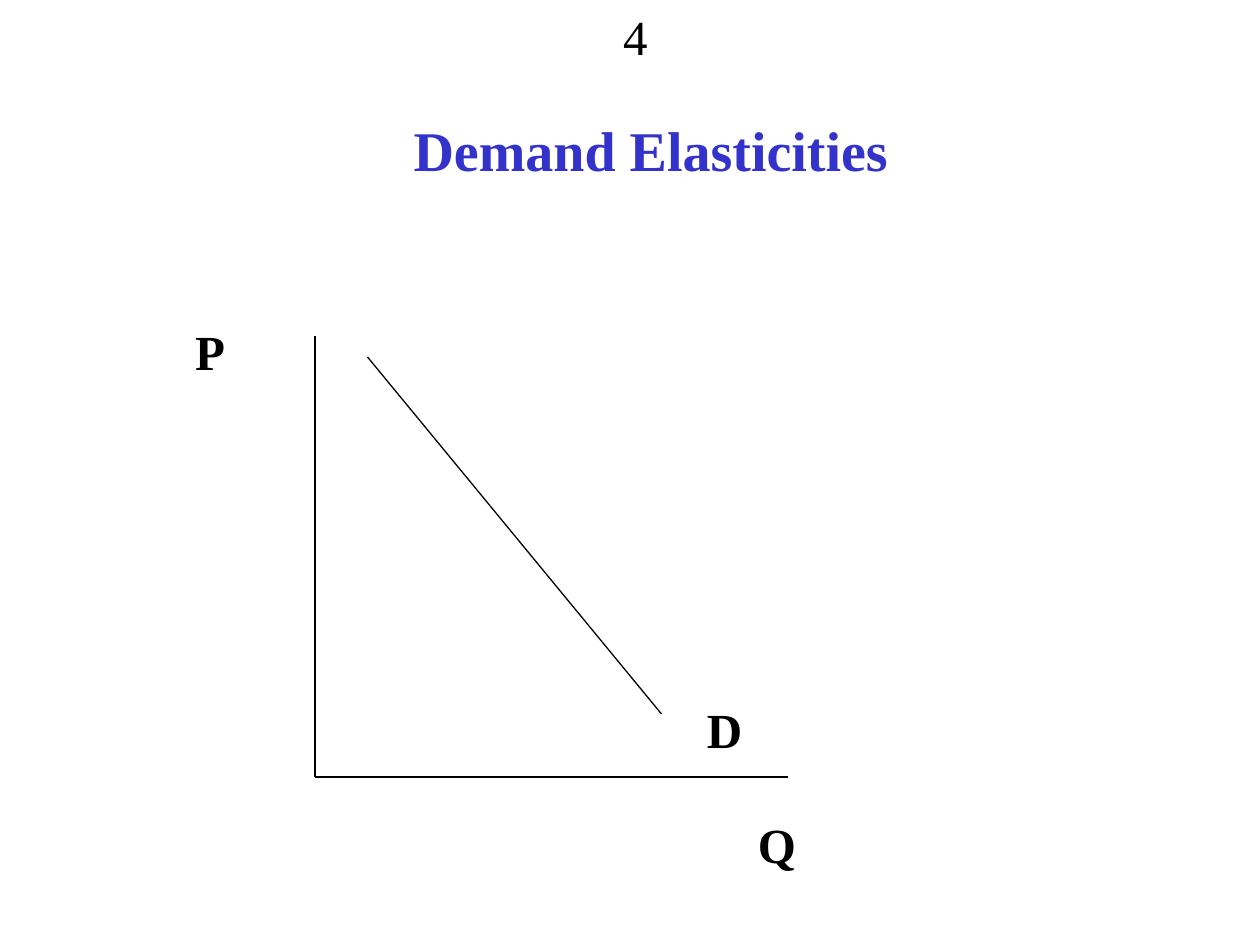
from collections import namedtuple
from dataclasses import dataclass

from lxml import etree
from pptx import Presentation
from pptx import util as u
from pptx.dml.color import RGBColor
from pptx.enum import shapes, text
from pptx.oxml.ns import qn

Box = namedtuple("Box", "col row cols rows")


@dataclass(frozen=True)
class Theme:
    """Colours, type sizes and the grid unit of the slide."""
    font: str = "Times New Roman"
    ink: RGBColor = RGBColor(0, 0, 0)
    accent: RGBColor = RGBColor(0x33, 0x33, 0xCC)
    title_size: int = 32
    label_size: int = 28
    line_width: float = 0.75
    unit: float = 1 / 12


THEME = Theme()


def grid(count):
    """Turn a number of grid units into a length."""
    return u.Inches(count * THEME.unit)


def write(slide, box, words, size=THEME.label_size, color=THEME.ink, bold=True, top=0.05):
    """Set one centred line of words in a grid box."""
    frame = slide.shapes.add_textbox(*map(grid, box)).text_frame
    frame.word_wrap = True
    frame.vertical_anchor = text.MSO_ANCHOR.TOP
    frame.margin_top = u.Inches(top)
    paragraph = frame.paragraphs[0]
    paragraph.alignment = text.PP_ALIGN.CENTER
    run = paragraph.add_run()
    run.text = words
    run.font.name = THEME.font
    run.font.size = u.Pt(size)
    run.font.bold = bold
    run.font.color.rgb = color


def draw_line(slide, start, end):
    """Draw a thin straight line between two grid points."""
    line = slide.shapes.add_connector(
        shapes.MSO_CONNECTOR.STRAIGHT, *map(grid, (*start, *end)))
    line.line.color.rgb = THEME.ink
    line.line.width = u.Pt(THEME.line_width)
    etree.SubElement(line._element.spPr, qn("a:effectLst"))


def add_page_number(slide, box):
    """Place the page number in its box."""
    write(slide, box, "4", bold=False)


def add_title(slide, box):
    """Place the heading on the lower line of its box."""
    write(slide, box, "Demand Elasticities", THEME.title_size, THEME.accent, top=0.5)


def add_demand_diagram(slide, box):
    """Draw the price and quantity axes, the demand line and their letters."""
    def at(col, row):
        """Shift a point into the diagram box."""
        return box.col + col, box.row + row

    origin = at(14, 44)
    price_end, quantity_end = at(14, 2), at(59, 44)
    demand = at(19, 4), at(47, 38)
    for start, end in ((price_end, origin), (origin, quantity_end), demand):
        draw_line(slide, start, end)
    for letter, corner, cols in (("D", at(48, 36), 10), ("P", at(0, 0), 8), ("Q", at(52, 47), 12)):
        write(slide, Box(*corner, cols, 6.84), letter)


def main():
    """Build and save the slide."""
    deck = Presentation()
    deck.slide_width, deck.slide_height = grid(120), grid(90)
    slide = deck.slides.add_slide(deck.slide_layouts[6])
    add_title(slide, Box(4, 5, 116, 12))
    add_demand_diagram(slide, Box(16, 30, 64, 54))
    add_page_number(slide, Box(48, 0, 25, 6))
    deck.save("out.pptx")


if __name__ == "__main__":
    main()
